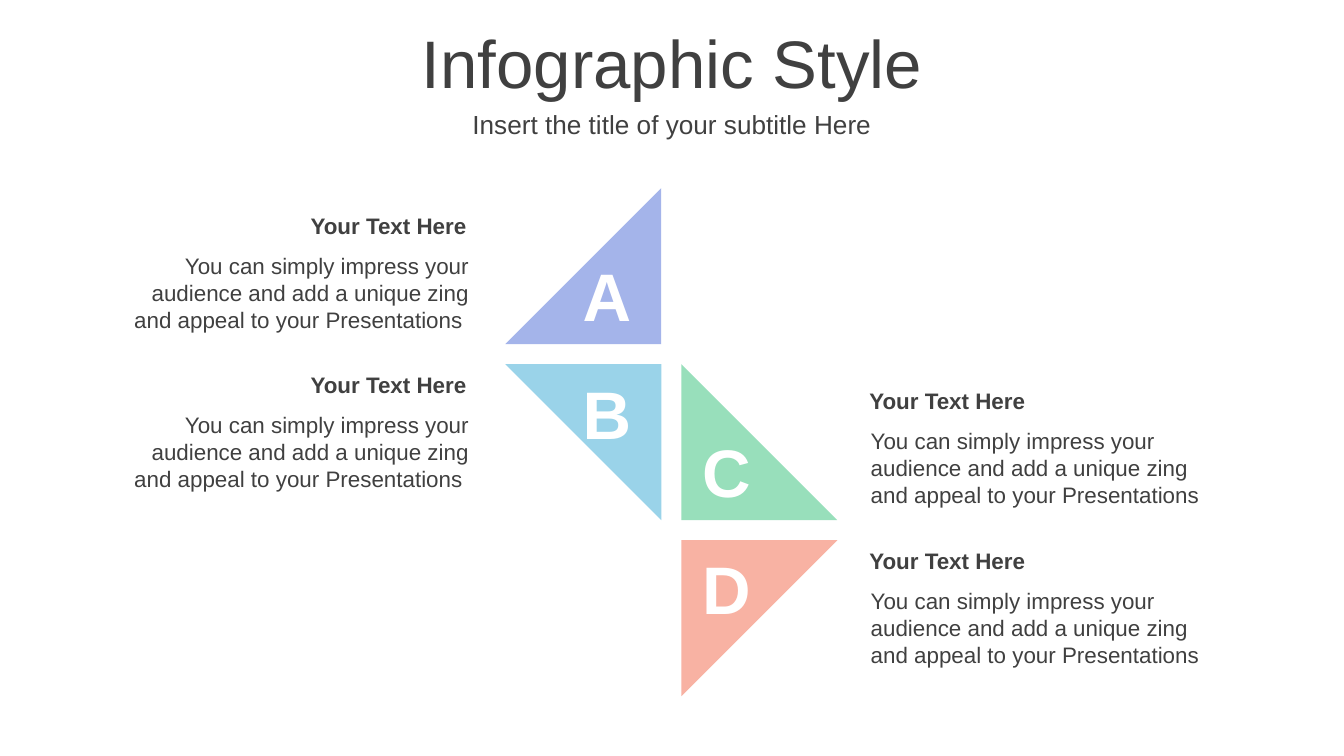
from pptx import Presentation
from pptx import util as u
from pptx.dml.color import RGBColor
from pptx.enum import shapes, text

COLORS = {
    "text": "404040",
    "letter": "FFFFFF",
    "A": "A4B4EA",
    "B": "9AD3E9",
    "C": "98DFBB",
    "D": "F8B2A3",
}
HEADING = "Your Text Here"
BODY = "You can simply impress your audience and add a unique zing and appeal to your Presentations "
LEFT, CENTER, RIGHT = text.PP_ALIGN.LEFT, text.PP_ALIGN.CENTER, text.PP_ALIGN.RIGHT
TOP, MIDDLE = text.MSO_ANCHOR.TOP, text.MSO_ANCHOR.MIDDLE


def write(shape, box, words, size, align, color="text", bold=False, anchor=TOP, before=0):
    for name, value in zip(("left", "top", "width", "height"), box):
        setattr(shape, name, u.Inches(value))
    frame = shape.text_frame
    frame.text = words
    frame_format = {
        "word_wrap": True,
        "auto_size": text.MSO_AUTO_SIZE.NONE,
        "vertical_anchor": anchor,
    }
    for name, value in frame_format.items():
        setattr(frame, name, value)
    paragraph = frame.paragraphs[0]
    paragraph.alignment = align
    paragraph.space_before = u.Pt(before)
    font = paragraph.runs[0].font
    for name, value in {"name": "Arial", "size": u.Pt(size), "bold": bold}.items():
        setattr(font, name, value)
    font.color.rgb = RGBColor.from_string(COLORS[color])


def add_text(box, *args, **options):
    write(slide.shapes.add_textbox(0, 0, 0, 0), box, *args, **options)


presentation = Presentation()
presentation.slide_width = u.Inches(10)
presentation.slide_height = u.Inches(10) * 9 // 16
slide = presentation.slides.add_slide(presentation.slide_layouts[0])

write(slide.shapes.title, (0, 0.14, 10, 0.63), "Infographic Style", 36, CENTER,
      anchor=MIDDLE, before=7.2)
write(slide.placeholders[1], (0, 0.77, 10, 0.31), "Insert the title of your subtitle Here",
      14, CENTER, anchor=MIDDLE, before=2.8)

SIDE = 1.16
STEP = 1.31
sections = [
    ("A", 0, 0, 270, 1.84, 1.53),
    ("B", 0, 1, 180, 2.72, 2.71),
    ("C", 1, 1, 0, 3.15, 2.83),
    ("D", 1, 2, 90, 4.02, 4.02),
]
columns = [
    {"letter": 4.21, "heading": (0.83, 2.74), "body": (0.83, 2.76), "align": RIGHT},
    {"letter": 5.1, "heading": (6.37, 2.76), "body": (6.38, 2.79), "align": LEFT},
]

for letter, column, row, rotation, letter_top, heading_top in sections:
    triangle = slide.shapes.add_shape(
        shapes.MSO_SHAPE.RIGHT_TRIANGLE,
        u.Inches(3.76 + column * STEP), u.Inches(1.4 + row * STEP),
        u.Inches(SIDE), u.Inches(SIDE),
    )
    triangle.rotation = rotation
    triangle.shadow.inherit = False
    triangle.fill.solid()
    triangle.fill.fore_color.rgb = RGBColor.from_string(COLORS[letter])
    triangle.line.fill.background()

    place = columns[column]
    heading_left, heading_width = place["heading"]
    body_left, body_width = place["body"]
    add_text((body_left, heading_top + 0.3, body_width, 0.71), BODY, 12, place["align"])
    add_text((heading_left, heading_top, heading_width, 0.3), HEADING, 12,
             place["align"], bold=True)
    add_text((place["letter"], letter_top, 0.61, 0.71), letter, 36, CENTER,
             color="letter", bold=True)

presentation.save("out.pptx")
